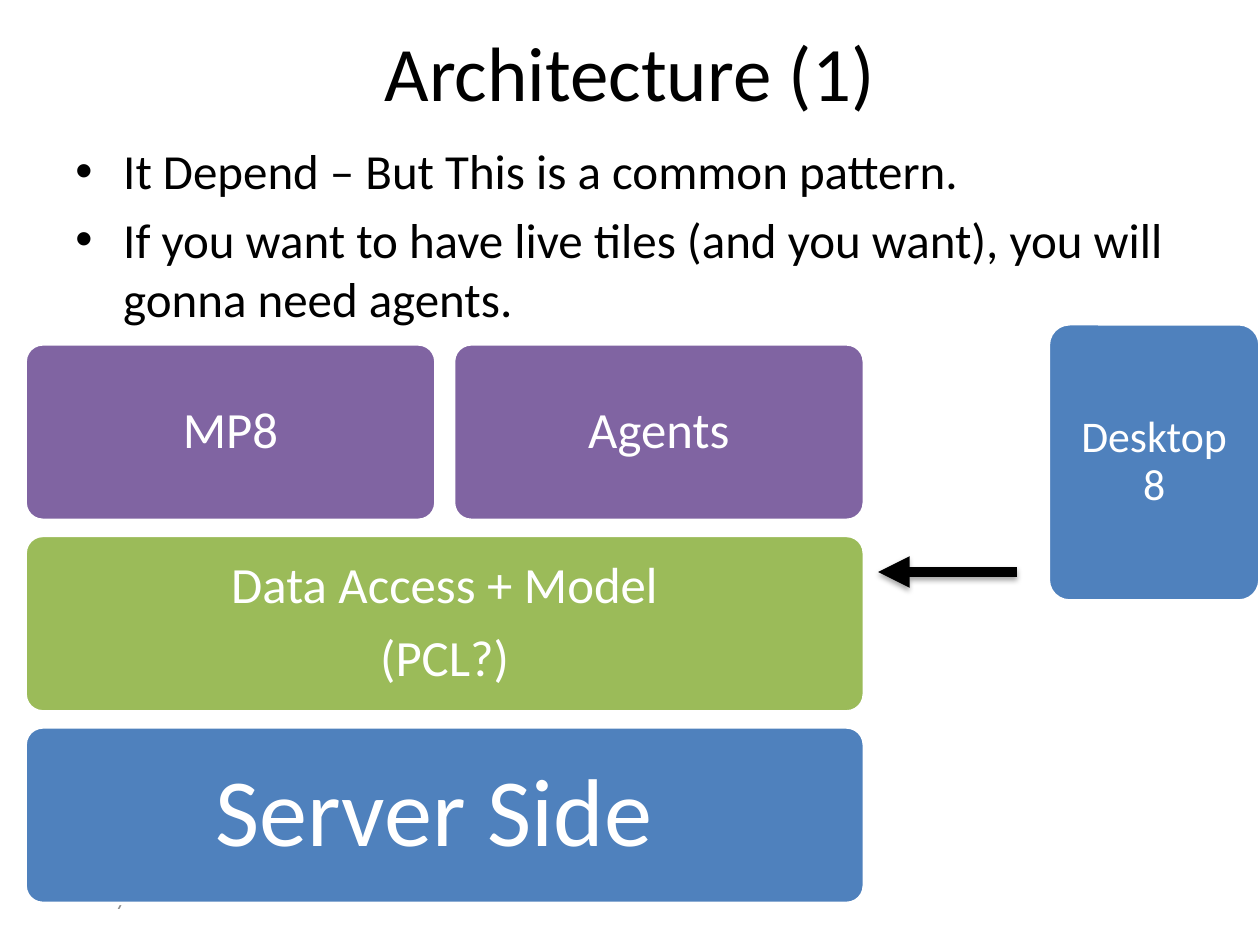
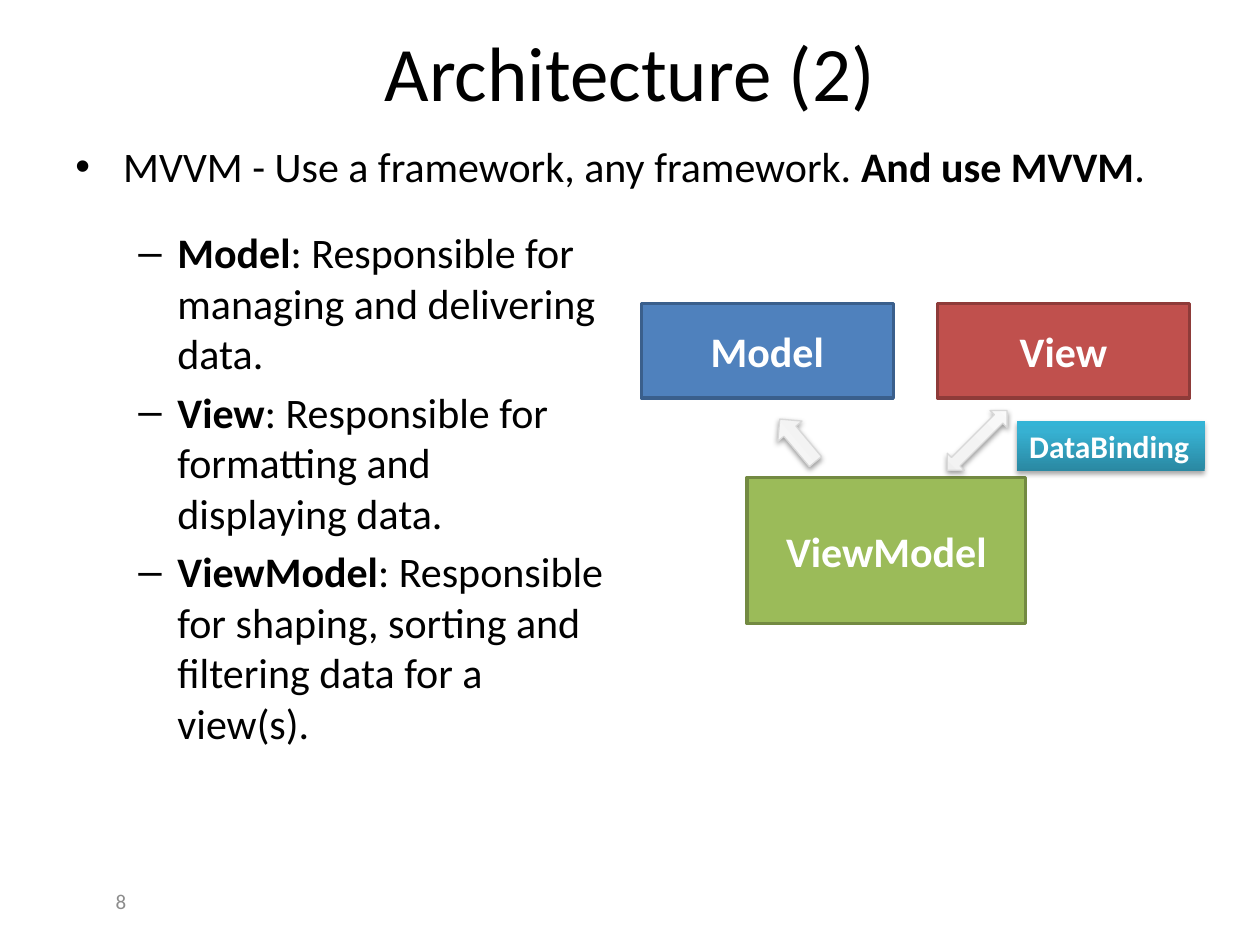
from dataclasses import dataclass

from lxml.etree import SubElement
from pptx import Presentation
from pptx.dml.color import RGBColor
from pptx.enum.shapes import MSO_CONNECTOR, MSO_SHAPE
from pptx.enum.text import MSO_ANCHOR, PP_ALIGN
from pptx.oxml import parse_xml
from pptx.oxml.ns import nsdecls, qn
from pptx.util import Emu, Pt

EMU_PER_PX = 9144


def px(length):
    """Turn whole px, 100 to the inch, into EMU."""
    return Emu(length * EMU_PER_PX)


@dataclass(frozen=True)
class Theme:
    """Colours, gradients and type sizes shared by the slides."""

    font: str = "Calibri"
    ink: str = "000000"
    paper: str = "FFFFFF"
    muted: str = "8C8C8C"
    blue: str = "4F81BD"
    blue_edge: str = "3A5F8C"
    red: str = "C0504D"
    red_edge: str = "8E3B39"
    green: str = "9BBB59"
    green_edge: str = "738A42"
    purple: str = "8064A2"
    arrow_edge: str = "D8D8D8"
    arrow_gradient: tuple = ((0, "EFEFEF"), (35, "F3F3F3"), (100, "FAFAFA"))
    label_gradient: tuple = ((0, "2A88A2"), (80, "37B1D2"), (100, "34B4D6"))
    title_size: int = 44
    server_size: int = 55
    layer_size: int = 29
    body_size: int = 28
    client_size: int = 25
    text_size: int = 24
    label_size: int = 18
    number_size: int = 12


class Deck:
    """Holds the theme and the current slide, and draws each kind of element."""

    def __init__(self, theme):
        self.theme = theme
        self.presentation = Presentation()
        self.presentation.slide_width = px(1000)
        self.presentation.slide_height = px(750)
        self.slide = None

    def add_slide(self, title):
        """Start a title-only slide and place its title."""
        layout = self.presentation.slide_layouts[5]
        self.slide = self.presentation.slides.add_slide(layout)
        shape = self.slide.shapes.title
        shape.left, shape.top, shape.width, shape.height = map(px, (50, 13, 900, 87))
        shape.text_frame.vertical_anchor = MSO_ANCHOR.MIDDLE
        self.add_text(shape, [[(title, False)]], self.theme.title_size,
                      self.theme.ink, PP_ALIGN.CENTER)

    def add_text(self, shape, paragraphs, size, color, align=PP_ALIGN.LEFT):
        """Fill a shape with paragraphs given as lists of (text, bold) runs."""
        frame = shape.text_frame
        for index, runs in enumerate(paragraphs):
            paragraph = frame.add_paragraph() if index else frame.paragraphs[0]
            paragraph.alignment = align
            for text, bold in runs:
                run = paragraph.add_run()
                run.text = text
                run.font.name = self.theme.font
                run.font.size = Pt(size)
                run.font.bold = bold
                run.font.color.rgb = RGBColor.from_string(color)

    def text_box(self, box):
        """Add a wrapping text box."""
        shape = self.slide.shapes.add_textbox(*map(px, box))
        shape.text_frame.word_wrap = True
        return shape

    def bullets(self, box, paragraphs, size, mark="•", margin=38, hanging=38):
        """Add a bulleted list with a hanging indent."""
        shape = self.text_box(box)
        self.add_text(shape, paragraphs, size, self.theme.ink)
        for paragraph in shape.text_frame.paragraphs:
            paragraph.space_before = Pt(size * 0.2)
            properties = paragraph._p.get_or_add_pPr()
            properties.set("marL", str(px(margin)))
            properties.set("indent", str(px(-hanging)))
            SubElement(properties, qn("a:buFont"), typeface="Arial")
            SubElement(properties, qn("a:buChar"), char=mark)

    def slide_number(self, number):
        """Add the page number at the lower left."""
        shape = self.text_box((67, 695, 43, 40))
        shape.text_frame.vertical_anchor = MSO_ANCHOR.MIDDLE
        self.add_text(shape, [[(str(number), False)]], self.theme.number_size,
                      self.theme.muted, PP_ALIGN.RIGHT)

    def shape(self, kind, box, fill, line=None, line_width=2):
        """Add a preset shape with a plain or gradient fill."""
        shape = self.slide.shapes.add_shape(kind, *map(px, box))
        shape.shadow.inherit = False
        if isinstance(fill, str):
            shape.fill.solid()
            shape.fill.fore_color.rgb = RGBColor.from_string(fill)
        else:
            self.gradient(shape, fill)
        if line:
            shape.line.color.rgb = RGBColor.from_string(line)
            shape.line.width = Pt(line_width)
        else:
            shape.line.fill.background()
        shape.text_frame.vertical_anchor = MSO_ANCHOR.MIDDLE
        return shape

    def gradient(self, shape, stops):
        """Give a shape a gradient running from bottom to top."""
        shape.fill.background()
        properties = shape._element.spPr
        marks = "".join(
            f'<a:gs pos="{position * 1000}"><a:srgbClr val="{color}"/></a:gs>'
            for position, color in stops)
        gradient = parse_xml(
            f'<a:gradFill {nsdecls("a")} rotWithShape="1"><a:gsLst>{marks}</a:gsLst>'
            '<a:lin ang="16200000" scaled="0"/></a:gradFill>')
        properties.replace(properties.find(qn("a:noFill")), gradient)

    def shadow(self, shape, opacity=35, distance=1.8):
        """Drop a soft shadow straight down."""
        properties = shape._element.spPr
        effects = properties.find(qn("a:effectLst"))
        if effects is None:
            effects = SubElement(properties, qn("a:effectLst"))
        outer = SubElement(effects, qn("a:outerShdw"), blurRad=str(Pt(3.1)),
                           dist=str(Pt(distance)), dir="5400000", rotWithShape="0")
        color = SubElement(outer, qn("a:srgbClr"), val=self.theme.ink)
        SubElement(color, qn("a:alpha"), val=str(opacity * 1000))

    def layer(self, box, lines, fill, size, inset=12):
        """Add a rounded block of the layer diagram."""
        shape = self.shape(MSO_SHAPE.ROUNDED_RECTANGLE, box, fill, self.theme.paper)
        shape.adjustments[0] = 0.1
        frame = shape.text_frame
        frame.word_wrap = True
        frame.margin_left = frame.margin_right = px(inset)
        frame.margin_top = frame.margin_bottom = px(inset)
        self.add_text(shape, [[(line, False)] for line in lines], size,
                      self.theme.paper, PP_ALIGN.CENTER)
        for paragraph in frame.paragraphs:
            paragraph.line_spacing = 0.9
            paragraph.space_after = Pt(size * 0.35)

    def component(self, box, name, fill, line):
        """Add a named rectangle of the pattern diagram."""
        shape = self.shape(MSO_SHAPE.RECTANGLE, box, fill, line)
        self.add_text(shape, [[(name, True)]], self.theme.text_size,
                      self.theme.paper, PP_ALIGN.CENTER)

    def block_arrow(self, kind, box, rotation):
        """Add a pale turned block arrow."""
        shape = self.shape(kind, box, self.theme.arrow_gradient,
                           self.theme.arrow_edge, 0.75)
        shape.rotation = rotation
        self.shadow(shape, 38, 1.6)

    def label(self, box, text):
        """Add a small gradient label."""
        shape = self.shape(MSO_SHAPE.RECTANGLE, box, self.theme.label_gradient)
        shape.text_frame.word_wrap = False
        self.add_text(shape, [[(text, True)]], self.theme.label_size, self.theme.paper)
        self.shadow(shape)

    def arrow(self, start, end):
        """Add a thick straight arrow."""
        connector = self.slide.shapes.add_connector(
            MSO_CONNECTOR.STRAIGHT, *map(px, start + end))
        connector.line.color.rgb = RGBColor.from_string(self.theme.ink)
        connector.line.width = Pt(6)
        SubElement(connector.line._get_or_add_ln(), qn("a:tailEnd"), type="triangle")
        self.shadow(connector)


def add_layers_slide(deck):
    """Build the slide on the layers of the application."""
    theme = deck.theme
    left, top, width, height, gap, pitch = 20, 273, 666, 140, 14, 152
    half = (width - gap) // 2
    deck.add_slide("Architecture (1)")
    deck.bullets((50, 107, 900, 563), [
        [("It Depend – But This is a common pattern.", False)],
        [("If you want to have live tiles (and you want), "
          "you will gonna need agents.", False)],
    ], theme.body_size)
    deck.slide_number(7)
    deck.layer((left, top + 2 * pitch, width, height), ["Server Side "],
               theme.blue, theme.server_size, 23)
    deck.layer((left, top + pitch, width, height), ["Data Access + Model", "(PCL?)"],
               theme.green, theme.layer_size)
    for column, name in enumerate(("MP8", "Agents")):
        deck.layer((left + column * (half + gap), top, half, height), [name],
                   theme.purple, theme.layer_size)
    deck.layer((832, 257, 168, 220), ["Desktop 8"], theme.blue, theme.client_size, 10)
    deck.arrow((807, 454), (697, 454))


def add_pattern_slide(deck):
    """Build the slide on the model, view and view model."""
    theme = deck.theme
    roles = (
        ("Model", "managing and delivering data."),
        ("View", "formatting and displaying data."),
        ("ViewModel", "shaping, sorting and filtering data for a view(s)."),
    )
    deck.add_slide("Architecture (2)")
    deck.bullets((50, 107, 900, 563), [[
        ("MVVM - Use a framework, any framework. ", False),
        ("And use MVVM", True),
        (".", False),
    ]], theme.text_size)
    deck.slide_number(8)
    deck.bullets((50, 175, 442, 495), [
        [(name, True), (f": Responsible for {duty}", False)] for name, duty in roles
    ], theme.text_size, "–", 81, 31)
    deck.component((509, 241, 200, 75), "Model", theme.blue, theme.blue_edge)
    deck.component((744, 241, 200, 75), "View", theme.red, theme.red_edge)
    deck.component((593, 379, 221, 116), "ViewModel", theme.green, theme.green_edge)
    deck.block_arrow(MSO_SHAPE.RIGHT_ARROW, (611, 337, 44, 25), 230)
    deck.block_arrow(MSO_SHAPE.UP_DOWN_ARROW, (766, 316, 19, 67), 45)
    deck.label((807, 334, 149, 40), "DataBinding")


def main():
    """Build and save the presentation."""
    deck = Deck(Theme())
    add_layers_slide(deck)
    add_pattern_slide(deck)
    deck.presentation.save("out.pptx")


if __name__ == "__main__":
    main()
